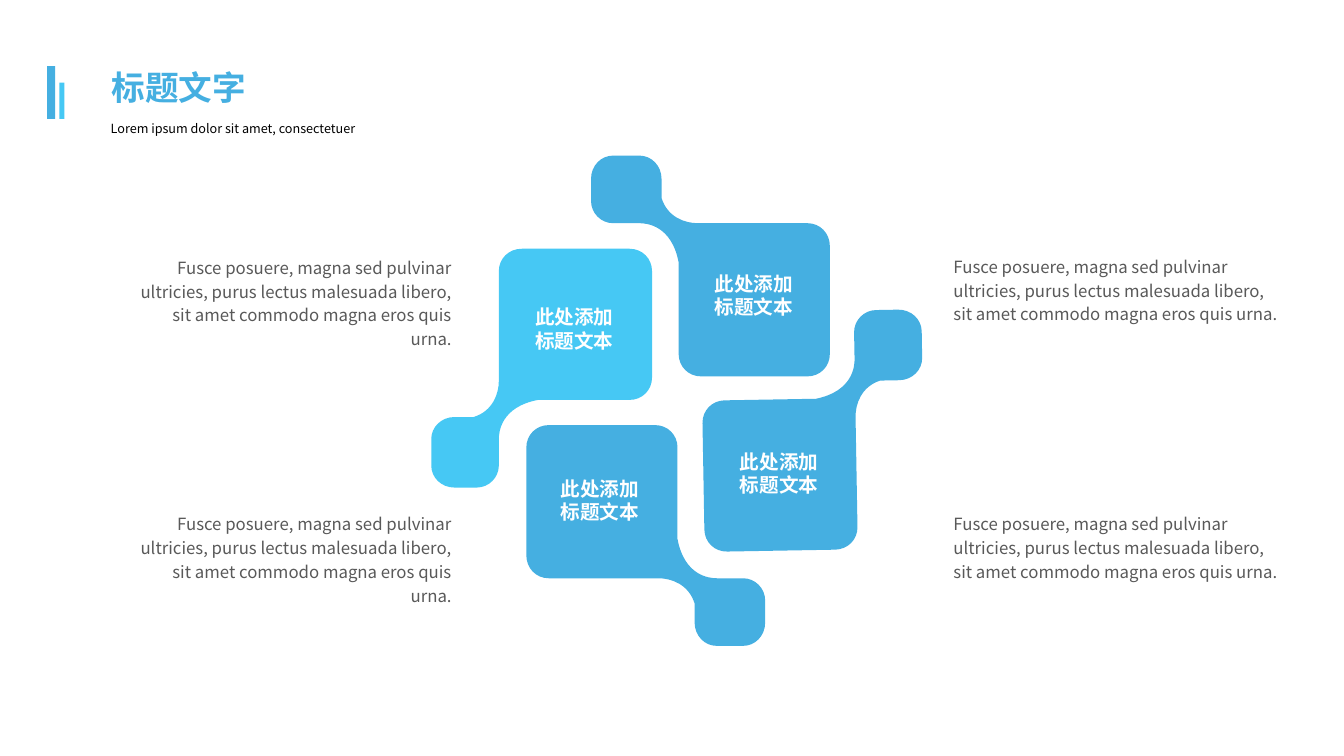
from dataclasses import dataclass
from math import cos, radians, sin

from lxml.etree import SubElement
from pptx import Presentation
from pptx.dml.color import RGBColor
from pptx.enum.shapes import MSO_SHAPE
from pptx.enum.text import MSO_ANCHOR, MSO_AUTO_SIZE, PP_ALIGN
from pptx.oxml.ns import qn
from pptx.util import Pt


@dataclass(frozen=True)
class Theme:
    font: str = "Noto Sans CJK SC"
    blue: str = "45AFE1"
    cyan: str = "46C8F4"
    white: str = "FFFFFF"
    black: str = "000000"
    gray: str = "595959"
    title: int = 24
    label: int = 14
    body: int = 12
    subtitle: int = 9


THEME = Theme()

# Content
TITLE = "标题文字"
SUBTITLE = "Lorem ipsum dolor sit amet, consectetuer"
LABEL = ["此处添加", "标题文本"]
BODY = ("Fusce posuere, magna sed pulvinar ultricies, purus lectus malesuada "
        "libero, sit amet commodo magna eros quis urna.")

# Accent bars: left, top, width, height, colour
BARS = [
    (33.6, 47.3, 5.8, 37.6, THEME.blue),
    (42.5, 59, 3.6, 26, THEME.cyan),
]

# Petals: centre, clockwise turn in degrees, colour, label centre
PETALS = [
    ((386.9, 263), 90, THEME.cyan, (410.3, 238.7)),
    ((461.3, 382.5), 0, THEME.blue, (428.4, 361)),
    ((507.5, 190), 180, THEME.blue, (538.6, 214.7)),
    ((580.8, 307.6), -91, THEME.blue, (556.6, 341.6)),
]

# Body texts: left, top, width, alignment
BODIES = [
    (88.5, 177.8, 241.2, PP_ALIGN.RIGHT),
    (88.5, 361, 241.2, PP_ALIGN.RIGHT),
    (674, 177.1, 249.1, PP_ALIGN.LEFT),
    (674, 361, 249.1, PP_ALIGN.LEFT),
]

# Unturned petal outline: each step is one line end or three curve points
PETAL_CENTRE = (85.3, 78.85)
PETAL_START = (154.8, 109.4)
PETAL_STEPS = [
    [(136, 109.4)],
    [(131, 109.4), (113, 108), (108, 81.4)],
    [(108, 16)],
    [(108, 7), (101, 0), (92, 0)],
    [(16, 0)],
    [(7, 0), (0, 7), (0, 16)],
    [(0, 93)],
    [(0, 102.3), (7, 109.4), (16, 109.4)],
    [(94.3, 109.4)],
    [(103.7, 109.4), (116, 113.8), (120.2, 127.4)],
    [(120.2, 141)],
    [(120.2, 150.5), (127.4, 157.7), (136, 157.7)],
    [(154.8, 157.7)],
    [(163.5, 157.7), (170.6, 150.5), (170.6, 141)],
    [(170.6, 125.3)],
    [(170.6, 116.6), (163.5, 109.4), (154.8, 109.4)],
]


def turn(point, centre, degrees):
    x, y = point[0] - PETAL_CENTRE[0], point[1] - PETAL_CENTRE[1]
    cosine, sine = cos(radians(degrees)), sin(radians(degrees))
    return Pt(centre[0] + x * cosine - y * sine), Pt(centre[1] + x * sine + y * cosine)


def bend(shape):
    """Join the three line ends of each curved step into one Bézier segment."""
    segments = shape._element.findall(".//" + qn("a:lnTo"))
    for step in PETAL_STEPS:
        ends, segments = segments[:len(step)], segments[len(step):]
        if len(step) == 3:
            ends[0].tag = qn("a:cubicBezTo")
            for end in ends[1:]:
                ends[0].append(end[0])
                end.getparent().remove(end)


def paint(shape, color):
    shape.fill.solid()
    shape.fill.fore_color.rgb = RGBColor.from_string(color)
    shape.line.fill.background()
    shape.shadow.inherit = False


def write(box, text, size, color, bold=False, align=PP_ALIGN.LEFT, spacing=None, wrap=True):
    frame = box.text_frame
    frame.text = text
    frame.word_wrap = wrap
    frame.auto_size = MSO_AUTO_SIZE.SHAPE_TO_FIT_TEXT
    frame.vertical_anchor = MSO_ANCHOR.TOP
    for para in frame.paragraphs:
        para.alignment = align
        para.line_spacing = spacing
        for span in para.runs:
            span.font.name = THEME.font
            span.font.size = Pt(size)
            span.font.bold = bold
            span.font.color.rgb = RGBColor.from_string(color)
            SubElement(span.font._element, qn("a:ea"), typeface=THEME.font)


deck = Presentation()
deck.slide_width, deck.slide_height = Pt(960), Pt(540)
page = deck.slides.add_slide(deck.slide_layouts[5])


def add_text(left, top, width, height, *args, **options):
    box = page.shapes.add_textbox(Pt(left), Pt(top), Pt(width), Pt(height))
    write(box, *args, **options)


# Heading
title = page.shapes.title
title.left, title.top, title.width, title.height = Pt(72), Pt(29.8), Pt(111.6), Pt(46)
write(title, TITLE, THEME.title, THEME.blue, bold=True, align=PP_ALIGN.CENTER, spacing=1.5, wrap=False)
add_text(72, 72, 288.7, 26, SUBTITLE, THEME.subtitle, THEME.black, spacing=2.0)

for left, top, width, height, color in BARS:
    bar = page.shapes.add_shape(MSO_SHAPE.RECTANGLE, Pt(left), Pt(top), Pt(width), Pt(height))
    paint(bar, color)

# Petals and their labels
for centre, degrees, color, _ in PETALS:
    builder = page.shapes.build_freeform(*turn(PETAL_START, centre, degrees))
    builder.add_line_segments([turn(point, centre, degrees) for step in PETAL_STEPS for point in step])
    petal = builder.convert_to_shape()
    bend(petal)
    paint(petal, color)

LABEL_WIDTH, LABEL_HEIGHT = 82.8, 48.2
for _, _, _, (middle_x, middle_y) in PETALS:
    add_text(middle_x - LABEL_WIDTH / 2, middle_y - LABEL_HEIGHT / 2, LABEL_WIDTH, LABEL_HEIGHT,
             "\n".join(LABEL), THEME.label, THEME.white, bold=True, align=PP_ALIGN.CENTER, wrap=False)

# Body texts
for left, top, width, align in BODIES:
    add_text(left, top, width, 57.6, BODY, THEME.body, THEME.gray, align=align, spacing=Pt(17))

deck.save("out.pptx")
